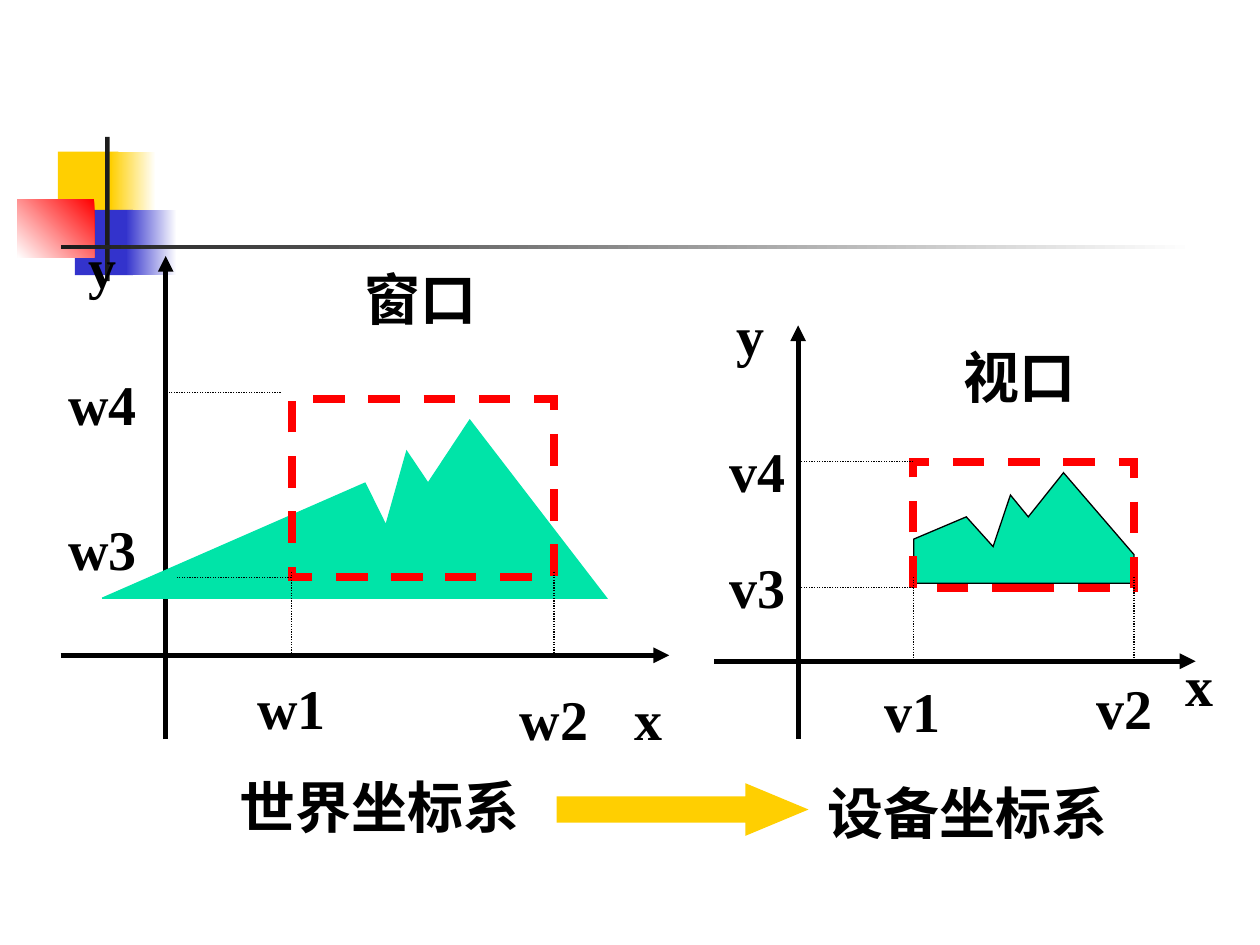
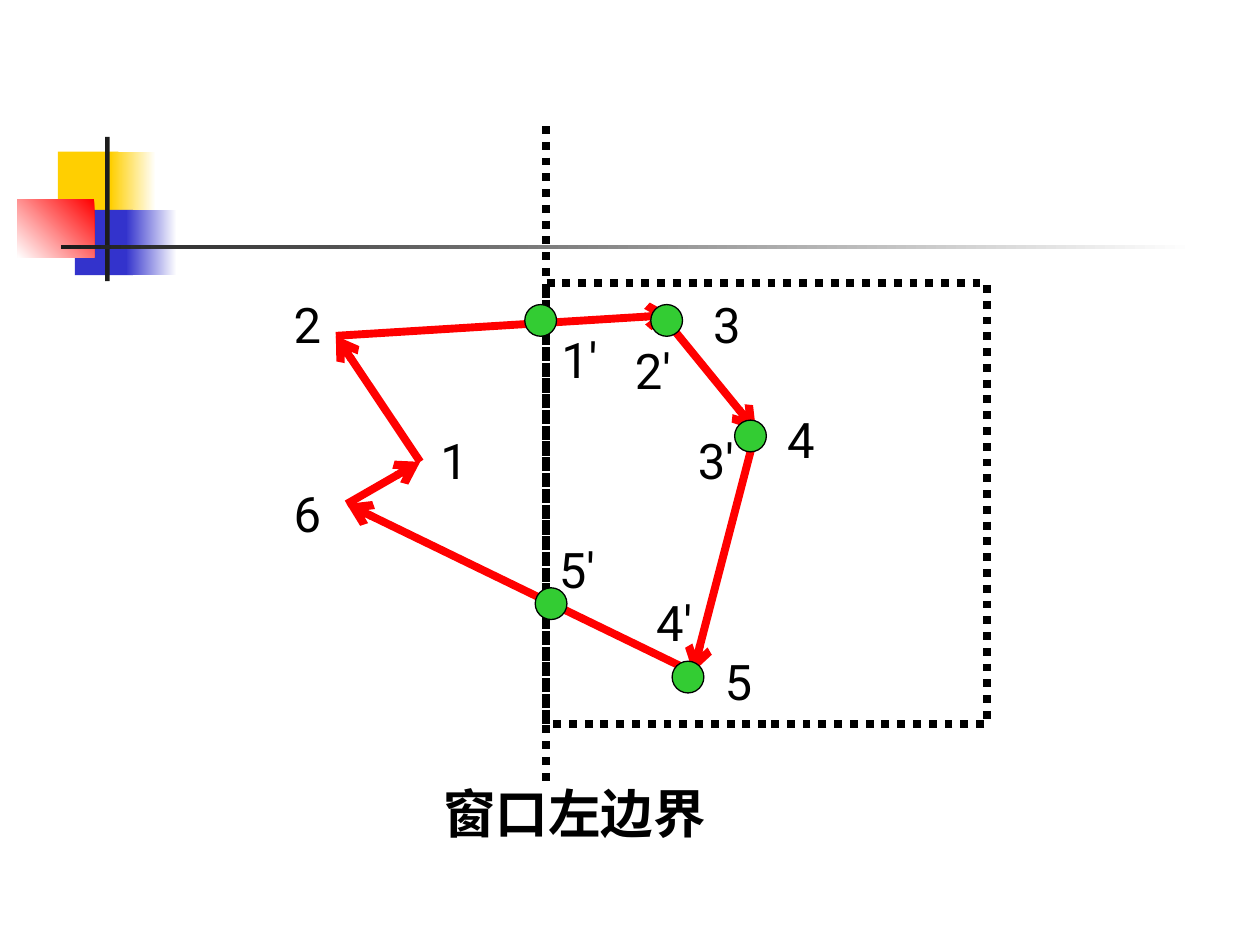
from itertools import pairwise

from lxml import etree
from pptx import Presentation
from pptx import util as u
from pptx.dml.color import RGBColor
from pptx.enum import dml, shapes, text
from pptx.oxml.ns import qn

BLACK = RGBColor(0x00, 0x00, 0x00)
WHITE = RGBColor(0xFF, 0xFF, 0xFF)
CHARCOAL = RGBColor(0x1C, 0x1C, 0x1C)
YELLOW = RGBColor(0xFF, 0xCF, 0x01)
BLUE = RGBColor(0x33, 0x33, 0xCC)
RED = RGBColor(0xFF, 0x00, 0x00)
MINT = RGBColor(0x00, 0xE4, 0xA8)
GREEN = RGBColor(0x33, 0xCC, 0x33)

SERIF = "Times New Roman"
SANS = "Roboto"
RECT = shapes.MSO_SHAPE.RECTANGLE
DASH = dml.MSO_LINE.DASH
DOTS = dml.MSO_LINE.ROUND_DOT
CM_PER_PT = 2.54 / 72
GLYPH_WIDTHS = {"w": 0.72, "'": 0.24}


def style(sp, fill=None, line=None, weight=0.75, dash=None):
    sp.shadow.inherit = False
    if fill is None:
        sp.fill.background()
    else:
        sp.fill.solid()
        sp.fill.fore_color.rgb = fill
    if line is None:
        sp.line.fill.background()
    else:
        sp.line.color.rgb = line
        sp.line.width = u.Pt(weight)
        if dash:
            sp.line.dash_style = dash
        ln = sp.element.spPr.find(qn("a:ln"))
        etree.SubElement(ln, qn("a:miter"), lim="800000")


def add_shape(s, kind, box, **look):
    sp = s.shapes.add_shape(kind, *map(u.Cm, box))
    style(sp, **look)
    return sp


def add_fade(s, box, start, end, angle=180):
    sp = add_shape(s, RECT, box)
    sp.fill.gradient()
    sp.fill.gradient_angle = angle
    for stop, color in zip(sp.fill.gradient_stops, (start, end)):
        stop.color.rgb = color


def add_line(s, start, end, color=BLACK, weight=0.75, dash=None, arrow=None):
    c = s.shapes.add_connector(
        shapes.MSO_CONNECTOR.STRAIGHT, *map(u.Cm, (*start, *end)))
    c.line.color.rgb = color
    c.line.width = u.Pt(weight)
    if dash:
        c.line.dash_style = dash
    sp_pr = c.element.spPr
    if arrow:
        etree.SubElement(sp_pr.find(qn("a:ln")), qn("a:tailEnd"), type=arrow)
    etree.SubElement(sp_pr, qn("a:effectLst"))


def add_polygon(s, points, **look):
    points = [(u.Cm(x), u.Cm(y)) for x, y in points]
    builder = s.shapes.build_freeform(*points[0])
    builder.add_line_segments(points[1:], close=True)
    style(builder.convert_to_shape(), **look)


def glyph_width(ch):
    return 1.02 if ord(ch) > 255 else GLYPH_WIDTHS.get(ch, 0.53)


def add_label(s, caption, x, y, size=32, font=SERIF, bold=True):
    w = sum(map(glyph_width, caption)) * size * CM_PER_PT
    h = 1.19 * size * CM_PER_PT
    sp = s.shapes.add_textbox(u.Cm(x - w / 2), u.Cm(y - h / 2), u.Cm(w), u.Cm(h))
    tf = sp.text_frame
    tf.word_wrap = False
    tf.vertical_anchor = text.MSO_ANCHOR.MIDDLE
    tf.margin_left = tf.margin_right = tf.margin_top = tf.margin_bottom = 0
    p = tf.paragraphs[0]
    p.alignment = text.PP_ALIGN.CENTER
    r = p.add_run()
    r.text = caption
    r.font.name = font
    r.font.size = u.Pt(size)
    r.font.bold = bold
    r.font.color.rgb = BLACK


def add_decorated_slide(prs):
    s = prs.slides.add_slide(prs.slide_layouts[6])
    add_shape(s, RECT, (1.17, 3.06, 1.22, 1.32), fill=YELLOW)
    add_fade(s, (2.23, 3.06, 0.91, 1.32), WHITE, YELLOW)
    add_shape(s, RECT, (1.51, 4.23, 1.17, 1.32), fill=BLUE)
    add_fade(s, (2.54, 4.23, 1.02, 1.32), WHITE, BLUE)
    add_fade(s, (0.35, 4.02, 1.55, 1.17), RED, WHITE, angle=225)
    add_shape(s, RECT, (2.12, 2.76, 0.09, 2.91), fill=CHARCOAL)
    add_fade(s, (1.23, 4.94, 22.86, 0.09), WHITE, CHARCOAL)
    return s


def add_coordinate_system(s, origin, x_span, y_span, scene, outline, frame,
                          guides, labels):
    ox, oy = origin
    add_line(s, (ox, y_span[0]), (ox, y_span[1]), weight=3, arrow="triangle")
    add_line(s, (x_span[0], oy), (x_span[1], oy), weight=3, arrow="triangle")
    add_polygon(s, scene, fill=MINT, line=outline)
    add_shape(s, RECT, frame, line=RED, weight=4.5, dash=DASH)
    for start, end in guides:
        add_line(s, start, end, dash=DOTS)
    for label in labels:
        add_label(s, *label)


def build_window_to_viewport(prs):
    s = add_decorated_slide(prs)
    add_shape(s, shapes.MSO_SHAPE.RIGHT_ARROW, (11.22, 15.79, 5.08, 1.06),
              fill=YELLOW).adjustments[1] = 1.2
    add_coordinate_system(
        s, (16.09, 13.33), (14.4, 24.1), (14.9, 6.56),
        [(18.42, 11.76), (18.42, 10.87), (19.48, 10.42), (20.02, 11.02),
         (20.37, 9.98), (20.73, 10.42), (21.44, 9.53), (22.86, 11.18),
         (22.86, 11.76)],
        BLACK, (18.41, 9.31, 4.45, 2.54),
        [((x, 11.63), (x, 13.33)) for x in (18.41, 22.86)]
        + [((18.41, y), (16.09, y)) for y in (9.31, 11.85)],
        [("x", 24.18, 13.8), ("y", 15.13, 6.74), ("v1", 18.4, 14.31),
         ("v2", 22.67, 14.26), ("v3", 15.26, 11.82), ("v4", 15.26, 9.48),
         ("视口", 20.56, 7.58), ("设备坐标系", 19.51, 16.38)])
    add_coordinate_system(
        s, (3.34, 13.21), (1.22, 13.49), (14.9, 5.16),
        [(2.06, 12.06), (7.36, 9.74), (7.78, 10.59), (8.2, 9.1),
         (8.63, 9.74), (9.47, 8.47), (12.23, 12.06)],
        MINT, (5.88, 8.04, 5.29, 3.6),
        [((x, 11.53), (x, 13.21)) for x in (5.87, 11.17)]
        + [((5.87, 11.64), (3.56, 11.64)), ((5.66, 7.91), (3.33, 7.91))],
        [("x", 13.08, 14.47), ("y", 2.06, 5.37), ("w1", 5.88, 14.26),
         ("w2", 11.17, 14.47), ("w3", 2.07, 11.04), ("w4", 2.07, 8.12),
         ("窗口", 8.47, 6.01), ("世界坐标系", 7.65, 16.26)])


def build_left_edge_clipping(prs):
    s = add_decorated_slide(prs)
    left_edge, dot = 11, 0.64
    add_shape(s, RECT, (left_edge, 5.71, 8.89, 8.89),
              line=BLACK, weight=4.5, dash=DOTS)
    polygon_path = [(13.34, 6.35), (15.24, 8.68), (13.97, 13.55),
                    (6.99, 10.16), (8.47, 9.31), (6.77, 6.77), (13.55, 6.35)]
    for start, end in pairwise(polygon_path):
        add_line(s, start, end, RED, 4.5, arrow="arrow")
    add_line(s, (left_edge, 2.54), (left_edge, 15.88), weight=4.5, dash=DOTS)
    for x, y in [(10.9, 6.46), (13.44, 6.46), (15.13, 8.79),
                 (13.87, 13.65), (11.11, 12.17)]:
        add_shape(s, shapes.MSO_SHAPE.OVAL,
                  (x - dot / 2, y - dot / 2, dot, dot), fill=GREEN, line=BLACK)
    for label in [("1", 9.14, 9.28), ("2", 6.18, 6.52), ("3", 14.64, 6.52),
                  ("4", 16.13, 8.85), ("5", 14.87, 13.73), ("6", 6.18, 10.33),
                  ("1'", 11.68, 7.23), ("2'", 13.16, 7.45),
                  ("3'", 14.43, 9.28), ("4'", 13.59, 12.54),
                  ("5'", 11.63, 11.47)]:
        add_label(s, *label, size=28, font=SANS, bold=False)
    add_label(s, "窗口左边界", 11.58, 16.38, size=30, font=SANS)


def main():
    prs = Presentation()
    prs.slide_width = u.Cm(25.4)
    prs.slide_height = u.Cm(19.05)
    build_window_to_viewport(prs)
    build_left_edge_clipping(prs)
    prs.save("out.pptx")


if __name__ == "__main__":
    main()
